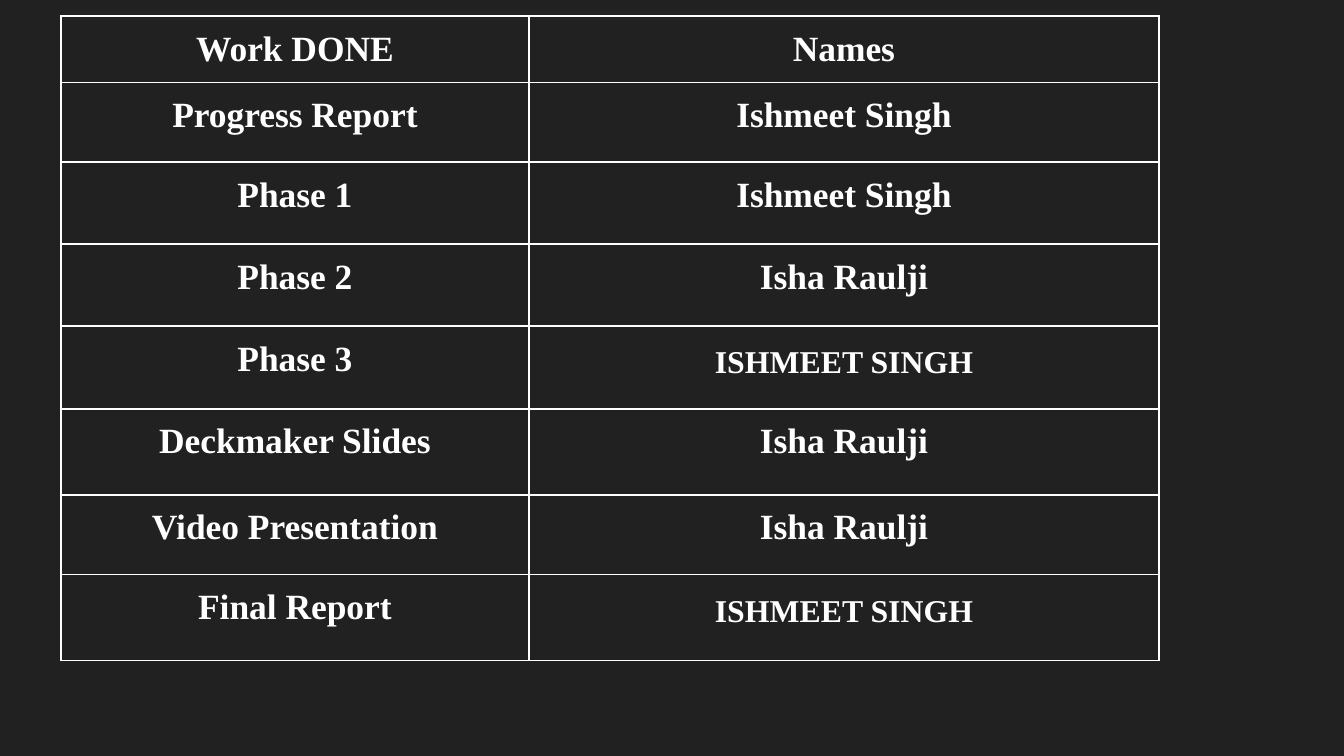
from lxml import etree
from pptx import Presentation
from pptx import util as u
from pptx.dml.color import RGBColor
from pptx.enum import text
from pptx.oxml.ns import qn

theme = {
    "back": RGBColor.from_string("212121"),
    "ink": RGBColor.from_string("FFFFFF"),
    "rule": "FFFFFF",
    "font": "Times New Roman",
    "size": u.Pt(19),
    "caps": u.Pt(17),
    "line": u.Pt(0.75),
}
SCALE = 914400 / 134.4


def px(n):
    return u.Emu(round(n * SCALE))


def border(cell):
    props = cell._tc.get_or_add_tcPr()
    for i, side in enumerate(("lnL", "lnR", "lnT", "lnB")):
        line = etree.Element(qn(f"a:{side}"), w=str(theme["line"]))
        fill = etree.SubElement(line, qn("a:solidFill"))
        etree.SubElement(fill, qn("a:srgbClr"), val=theme["rule"])
        props.insert(i, line)


tasks = [
    ("Work DONE", "Names", 66),
    ("Progress Report", "Ishmeet Singh", 80),
    ("Phase 1", "Ishmeet Singh", 82),
    ("Phase 2", "Isha Raulji", 82),
    ("Phase 3", "ISHMEET SINGH", 83),
    ("Deckmaker Slides", "Isha Raulji", 86),
    ("Video Presentation", "Isha Raulji", 80),
    ("Final Report", "ISHMEET SINGH", 86),
]
widths = [468, 630]

deck = Presentation()
deck.slide_width, deck.slide_height = px(1344), px(756)
slide = deck.slides.add_slide(deck.slide_layouts[6])
slide.background.fill.solid()
slide.background.fill.fore_color.rgb = theme["back"]

tall = sum(task[2] for task in tasks)
frame = slide.shapes.add_table(
    len(tasks), len(widths), px(61), px(16), px(sum(widths)), px(tall)
)
table = frame.table
table.first_row = table.horz_banding = False
for col, width in zip(table.columns, widths):
    col.width = px(width)

for row, (work, name, height) in zip(table.rows, tasks):
    row.height = px(height)
    for cell, words in zip(row.cells, (work, name)):
        cell.fill.background()
        border(cell)
        cell.margin_left = cell.margin_right = u.Inches(0.1)
        cell.margin_top = cell.margin_bottom = u.Inches(0.1)
        cell.text = words
        para = cell.text_frame.paragraphs[0]
        para.alignment = text.PP_ALIGN.CENTER
        para.font.name = theme["font"]
        para.font.size = theme["size"]
        para.font.bold = True
        para.font.color.rgb = theme["ink"]
        if words.isupper():
            para.font.size = theme["caps"]
            para.line_spacing = 1.15
            para.space_before = u.Pt(18)
            para.space_after = u.Pt(6)

deck.save("out.pptx")
